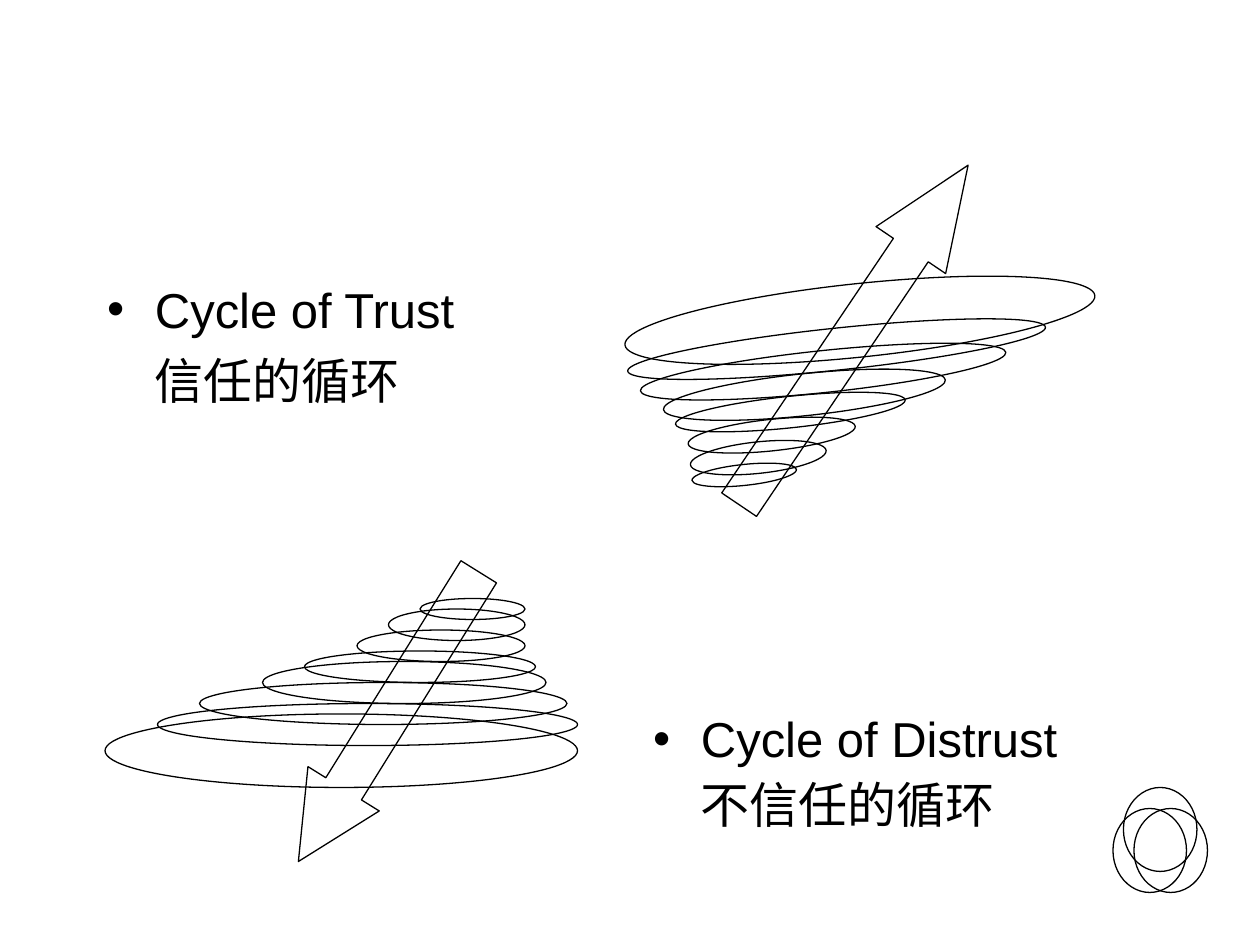
from dataclasses import dataclass
from math import cos, radians, sin

from lxml.etree import SubElement
from pptx import Presentation
from pptx.dml.color import RGBColor as Rgb
from pptx.enum.shapes import MSO_SHAPE as Kind
from pptx.enum.text import MSO_ANCHOR as Anchor, MSO_AUTO_SIZE as Fit
from pptx.oxml.ns import qn
from pptx.util import Emu, Inches, Pt

CELL = Inches(1) // 12  # grid of twelve cells to the inch


@dataclass(frozen=True)
class Theme:
    ink: Rgb = Rgb(0, 0, 0)
    font: str = "Arial"
    size: int = 28
    gap: int = 7
    line: float = 0.75
    indent: float = 0.38


@dataclass(frozen=True)
class Box:
    col: float
    row: float
    wide: float
    high: float

    @property
    def mid(self) -> tuple[float, float]:
        return self.col + self.wide / 2, self.row + self.high / 2

    def emu(self) -> list[Emu]:
        return [Emu(round(n * CELL)) for n in (self.col, self.row, self.wide, self.high)]


THEME = Theme()

# Rings of the distrust spiral, widest first
RINGS = [
    Box(10, 68, 45, 7), Box(15, 67, 40, 4), Box(19, 65, 35, 4), Box(25, 63, 27, 4),
    Box(29, 62, 22, 3), Box(34, 60, 16, 3), Box(37, 58, 13, 3), Box(40, 57, 10, 2),
]
TILT = 174
TRUST = (81.9, 30.5)  # centre of the widest trust ring
KNOT = [Box(107, 75, 7, 8), Box(108, 77, 7, 8), Box(106, 77, 7, 8)]


def draw(shapes, kind: Kind, box: Box, turn: float = 0):
    """Add an unfilled outline shape."""
    shape = shapes.add_shape(kind, *box.emu())
    shape.shadow.inherit = False
    shape.fill.background()
    shape.line.color.rgb = THEME.ink
    shape.line.width = Pt(THEME.line)
    shape.rotation = turn
    return shape


def arrow(shapes, box: Box, turn: float, head: float) -> None:
    shape = draw(shapes, Kind.UP_ARROW, box, turn)
    shape.adjustments[0] = 0.5
    shape.adjustments[1] = head


def swing(box: Box, hub: tuple[float, float], turn: float) -> Box:
    """Turn a ring about the widest one and move it to a new hub."""
    x, y = (a - b for a, b in zip(box.mid, RINGS[0].mid))
    c, s = cos(radians(turn)), sin(radians(turn))
    return Box(hub[0] + x * c - y * s - box.wide / 2,
               hub[1] + x * s + y * c - box.high / 2, box.wide, box.high)


def spiral(shapes, hub: tuple[float, float], turn: float = 0) -> None:
    group = shapes.add_group_shape()
    for ring in RINGS:
        draw(group.shapes, Kind.OVAL, swing(ring, hub, turn), turn)


def write(holder, lines: list[str], *, box: Box, anchor: Anchor, pitch: float = 1.0) -> None:
    """Fill a body placeholder: a bulleted line, then plain lines below it."""
    holder.left, holder.top, holder.width, holder.height = box.emu()
    frame = holder.text_frame
    frame.auto_size, frame.word_wrap = Fit.NONE, True
    frame.vertical_anchor = anchor
    frame.text = "\n".join(lines)
    for i, para in enumerate(frame.paragraphs):
        para.line_spacing = pitch
        para.space_before = Pt(THEME.gap if i else 0)
        props = para._p.get_or_add_pPr()
        props.set("marL", str(Inches(THEME.indent)))
        props.set("indent", str(0 if i else -Inches(THEME.indent)))
        if i:
            SubElement(props, qn("a:buNone"))
        else:
            SubElement(props, qn("a:buChar"), char="•")
        for run in para.runs:
            run.font.name = THEME.font
            run.font.size = Pt(THEME.size)
            run.font.color.rgb = THEME.ink


def main() -> None:
    deck = Presentation()
    deck.slide_width, deck.slide_height = Inches(10), Inches(7.5)
    slide = deck.slides.add_slide(deck.slide_layouts[3])
    title, left, right = slide.placeholders
    title.element.getparent().remove(title.element)
    shapes = slide.shapes

    # Text columns
    write(left, ["Cycle of Trust", "信任的循环"],
          box=Box(9, 26, 50, 54), anchor=Anchor.TOP)
    write(right, ["Cycle of Distrust", "不信任的循环"],
          box=Box(61, 26, 50, 54), anchor=Anchor.BOTTOM, pitch=0.9)

    # Spirals and their arrows
    spiral(shapes, RINGS[0].mid)
    spiral(shapes, TRUST, TILT)
    arrow(shapes, Box(77.3, 12.4, 8, 39), 34, 1.22)
    arrow(shapes, Box(33, 52, 8, 32.5), 211.9, 1.02)

    # Three linked rings in the corner
    for ring in KNOT:
        draw(shapes, Kind.OVAL, ring)

    deck.save("out.pptx")


if __name__ == "__main__":
    main()
